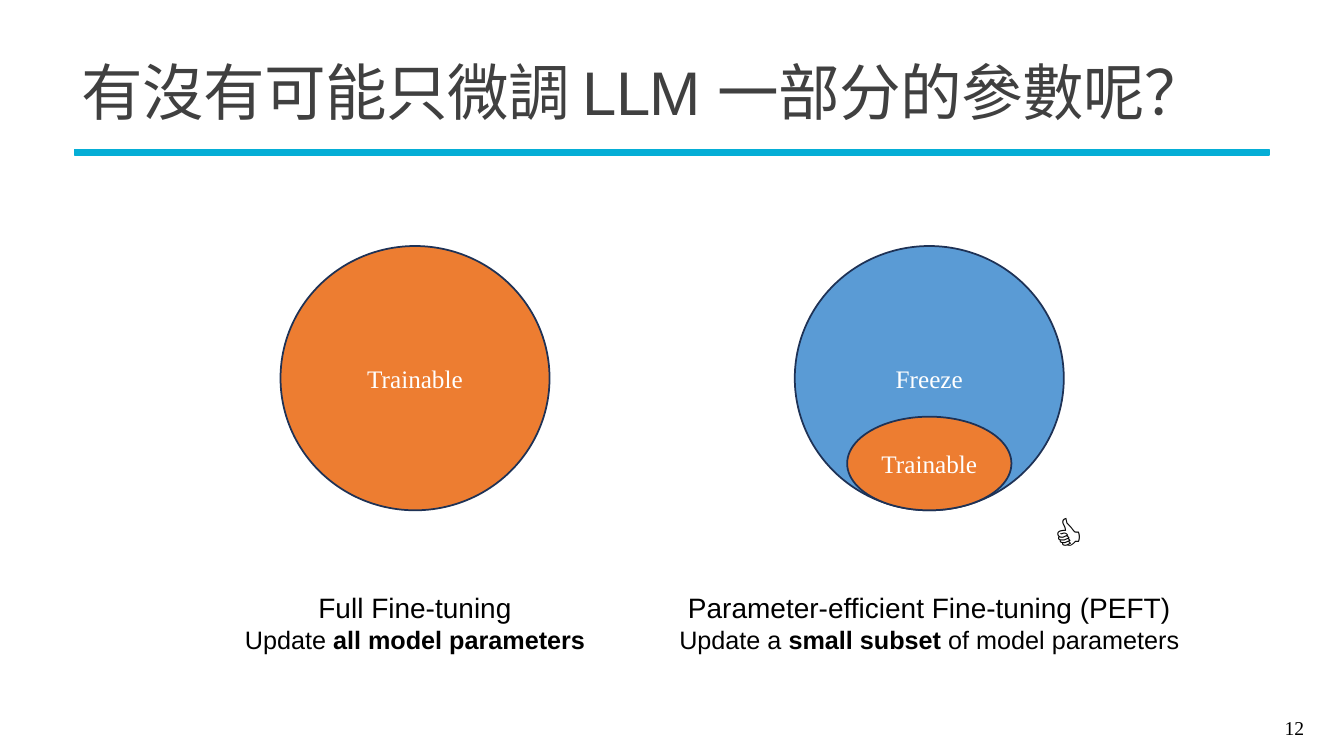
"""Build a slide comparing full fine-tuning with parameter-efficient fine-tuning."""
from pptx import Presentation
from pptx.dml.color import RGBColor
from pptx.enum.shapes import MSO_SHAPE
from pptx.enum.text import MSO_ANCHOR, MSO_AUTO_SIZE, PP_ALIGN
from pptx.util import Cm, Pt

LEFT, CENTER, RIGHT = PP_ALIGN.LEFT, PP_ALIGN.CENTER, PP_ALIGN.RIGHT
TOP, MIDDLE = MSO_ANCHOR.TOP, MSO_ANCHOR.MIDDLE
RECTANGLE, OVAL = MSO_SHAPE.RECTANGLE, MSO_SHAPE.OVAL
SANS, SERIF = "Arial", "Times New Roman"
COLORS = {
    "title": "404040", "text": "000000", "label": "FFFFFF", "rule": "05AED6",
    "trainable": "ED7D31", "frozen": "5A9BD5", "outline": "1E3256",
}

TITLE = "有沒有可能只微調 LLM 一部分的參數呢？"
PAGE_NUMBER = "12"
THUMB = "👍"
METHODS = [
    {
        "center": 10.46, "width": 9.35, "heading": "Full Fine-tuning",
        "detail": [("Update ", False), ("all model parameters", True)],
        "ovals": [("Trainable", "trainable", 6.78, 6.66)],
    },
    {
        "center": 23.42, "width": 14.55,
        "heading": "Parameter-efficient Fine-tuning (PEFT)",
        "detail": [("Update a ", False), ("small subset", True),
                   (" of model parameters", False)],
        "ovals": [("Freeze", "frozen", 6.78, 6.66),
                  ("Trainable", "trainable", 4.14, 2.36)],
    },
]
OVAL_BOTTOM = 12.86
CAPTION_TOP, CAPTION_HEIGHT = 14.76, 1.88


def color(name):
    return RGBColor.from_string(COLORS[name])


def style(paragraph, font_name, size, color_name, alignment):
    paragraph.alignment = alignment
    paragraph.font.name = font_name
    paragraph.font.size = Pt(size)
    paragraph.font.color.rgb = color(color_name)


def add_shape(slide, kind, box, fill, line):
    shape = slide.shapes.add_shape(kind, *map(Cm, box))
    shape.shadow.inherit = False
    shape.fill.solid()
    shape.fill.fore_color.rgb = color(fill)
    shape.line.color.rgb = color(line)
    shape.line.width = Pt(1.25)
    return shape


def add_text(slide, box, text, font_name, size, alignment, anchor=TOP):
    frame = slide.shapes.add_textbox(*map(Cm, box)).text_frame
    frame.word_wrap = True
    frame.vertical_anchor = anchor
    paragraph = frame.paragraphs[0]
    paragraph.add_run().text = text
    style(paragraph, font_name, size, "text", alignment)
    return paragraph


def add_title(slide):
    title = slide.shapes.title
    title.left, title.top, title.width, title.height = map(
        Cm, (1.8, 0.99, 30.33, 2.87))
    frame = title.text_frame
    frame.text = TITLE
    frame.auto_size = MSO_AUTO_SIZE.NONE
    frame.vertical_anchor = MIDDLE
    paragraph = frame.paragraphs[0]
    paragraph.line_spacing = 0.85
    style(paragraph, SANS, 44, "title", LEFT)
    paragraph.runs[0].font._element.set("spc", "-50")


def add_method(slide, method):
    center, width = method["center"], method["width"]
    box = (center - width / 2, CAPTION_TOP, width, CAPTION_HEIGHT)
    caption = add_text(slide, box, method["heading"], SANS, 18, CENTER)
    caption.runs[0].font.size = Pt(20)
    caption.add_line_break()
    for text, bold in method["detail"]:
        run = caption.add_run()
        run.text = text
        run.font.bold = bold
    for label, fill, oval_width, oval_height in method["ovals"]:
        box = (center - oval_width / 2, OVAL_BOTTOM - oval_height,
               oval_width, oval_height)
        oval = add_shape(slide, OVAL, box, fill, "outline")
        frame = oval.text_frame
        frame.text = label
        frame.vertical_anchor = MIDDLE
        style(frame.paragraphs[0], SERIF, 18, "label", CENTER)


def main():
    presentation = Presentation()
    presentation.slide_width, presentation.slide_height = Cm(33.87), Cm(19.05)
    slide = presentation.slides.add_slide(presentation.slide_layouts[5])
    add_shape(slide, RECTANGLE, (1.88, 3.77, 30.1, 0.13), "rule", "rule")
    add_title(slide)
    add_text(slide, (29.49, 17.83, 3.63, 1.02), PAGE_NUMBER, SERIF, 14,
             RIGHT, MIDDLE)
    for method in METHODS:
        add_method(slide, method)
    add_text(slide, (25.5, 12.65, 2.87, 1.63), THUMB, SANS, 32, CENTER)
    presentation.save("out.pptx")


if __name__ == "__main__":
    main()
